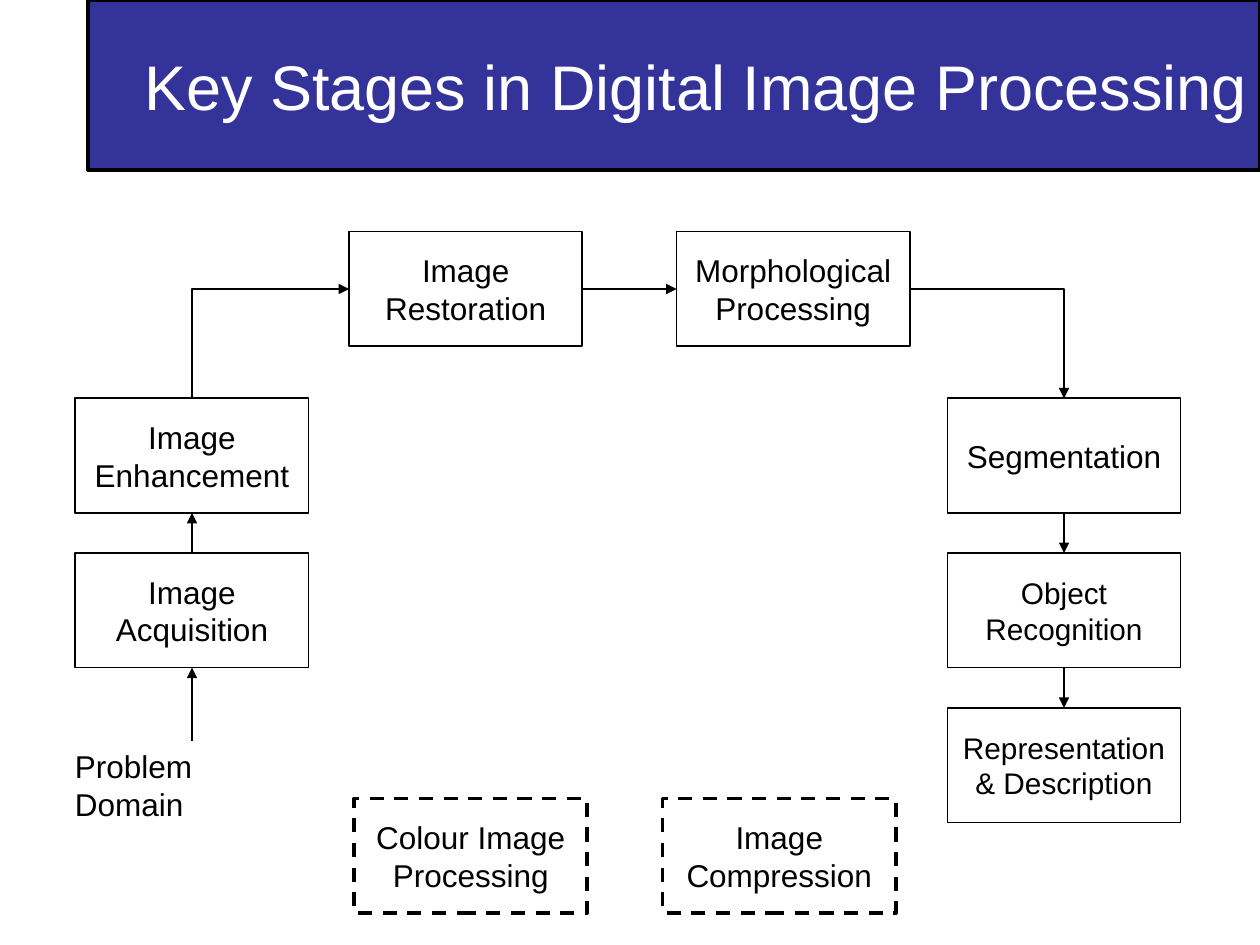
"""Build a flow chart slide of the key stages in digital image processing."""
from dataclasses import dataclass

from lxml import etree
from pptx import Presentation
from pptx.dml.color import RGBColor
from pptx.enum.dml import MSO_LINE
from pptx.enum.shapes import MSO_CONNECTOR, MSO_SHAPE
from pptx.enum.text import MSO_ANCHOR, PP_ALIGN
from pptx.oxml.ns import qn
from pptx.util import Cm, Pt

RECTANGLE = MSO_SHAPE.RECTANGLE
STRAIGHT, ELBOW = MSO_CONNECTOR.STRAIGHT, MSO_CONNECTOR.ELBOW
DASH = MSO_LINE.DASH
MIDDLE = MSO_ANCHOR.MIDDLE
LEFT_ALIGNED, CENTERED, RIGHT_ALIGNED = PP_ALIGN.LEFT, PP_ALIGN.CENTER, PP_ALIGN.RIGHT
TOP, LEFT, BOTTOM, RIGHT = range(4)

FONT = "Arial"
BLACK, WHITE, NAVY = "000000", "FFFFFF", "333399"
STAGE_WIDTH, STAGE_HEIGHT = 4.7, 2.31
LEFT_COLUMN, RIGHT_COLUMN = 1.52, 19.1
TOP_ROW, OPTIONAL_ROW = 4.67, 16.1
SIDE_ROWS = [8.03 + 3.12 * row for row in range(3)]


@dataclass(frozen=True)
class Box:
    text: str
    left: float
    top: float
    width: float = STAGE_WIDTH
    height: float = STAGE_HEIGHT
    size: int = 18
    fill: str = WHITE
    color: str = BLACK
    line_width: int = 1
    dashed: bool = False
    alignment: PP_ALIGN = CENTERED


@dataclass(frozen=True)
class Arrow:
    start: str
    start_site: int
    finish: str
    finish_site: int
    elbow: bool = False
    arrowhead: str = "tailEnd"


TITLE = Box("Key Stages in Digital Image Processing", 1.78, 0, 23.62, 3.43,
            size=36, fill=NAVY, color=WHITE, line_width=2, alignment=RIGHT_ALIGNED)
STAGES = [
    Box("Image Acquisition", LEFT_COLUMN, SIDE_ROWS[1]),
    Box("Image Enhancement", LEFT_COLUMN, SIDE_ROWS[0]),
    Box("Image Restoration", 7.04, TOP_ROW),
    Box("Morphological Processing", 13.64, TOP_ROW),
    Box("Segmentation", RIGHT_COLUMN, SIDE_ROWS[0]),
    Box("Object Recognition", RIGHT_COLUMN, SIDE_ROWS[1], size=17),
    Box("Representation & Description", RIGHT_COLUMN, SIDE_ROWS[2], size=17),
    Box("Colour Image Processing", 7.14, OPTIONAL_ROW, line_width=2, dashed=True),
    Box("Image Compression", 13.36, OPTIONAL_ROW, line_width=2, dashed=True),
]
PROBLEM = Box("Problem Domain", 1.26, 14.94, 5.22, 1.02, alignment=LEFT_ALIGNED)
ARROWS = [
    Arrow("Problem Domain", TOP, "Image Acquisition", BOTTOM),
    Arrow("Image Acquisition", TOP, "Image Enhancement", BOTTOM),
    Arrow("Image Restoration", LEFT, "Image Enhancement", TOP, True, "headEnd"),
    Arrow("Image Restoration", RIGHT, "Morphological Processing", LEFT),
    Arrow("Morphological Processing", RIGHT, "Segmentation", TOP, True),
    Arrow("Segmentation", BOTTOM, "Object Recognition", TOP),
    Arrow("Object Recognition", BOTTOM, "Representation & Description", TOP),
]


def rgb(value: str) -> RGBColor:
    return RGBColor.from_string(value)


def write_text(shape, box: Box) -> None:
    paragraph = shape.text_frame.paragraphs[0]
    paragraph.alignment = box.alignment
    run = paragraph.add_run()
    run.text = box.text
    run.font.name = FONT
    run.font.size = Pt(box.size)
    run.font.color.rgb = rgb(box.color)


def draw_box(slide, box: Box):
    shape = slide.shapes.add_shape(
        RECTANGLE, Cm(box.left), Cm(box.top), Cm(box.width), Cm(box.height))
    shape.shadow.inherit = False
    shape.fill.solid()
    shape.fill.fore_color.rgb = rgb(box.fill)
    shape.line.color.rgb = rgb(BLACK)
    shape.line.width = Pt(box.line_width)
    if box.dashed:
        shape.line.dash_style = DASH
    shape.text_frame.word_wrap = True
    shape.text_frame.vertical_anchor = MIDDLE
    write_text(shape, box)
    return shape


def draw_label(slide, box: Box):
    shape = slide.shapes.add_textbox(
        Cm(box.left), Cm(box.top), Cm(box.width), Cm(box.height))
    shape.text_frame.word_wrap = False
    write_text(shape, box)
    return shape


def draw_arrow(slide, arrow: Arrow, shapes: dict) -> None:
    connector = slide.shapes.add_connector(ELBOW if arrow.elbow else STRAIGHT, 0, 0, 0, 0)
    connector.begin_connect(shapes[arrow.start], arrow.start_site)
    connector.end_connect(shapes[arrow.finish], arrow.finish_site)
    connector.line.color.rgb = rgb(BLACK)
    connector.line.width = Pt(1)
    properties = connector.element.spPr
    if arrow.elbow:
        properties.find(qn("a:prstGeom")).set("prst", "bentConnector2")
    line = properties.find(qn("a:ln"))
    etree.SubElement(line, qn(f"a:{arrow.arrowhead}"), type="triangle")
    etree.SubElement(properties, qn("a:effectLst"))


def main() -> None:
    presentation = Presentation()
    presentation.slide_width, presentation.slide_height = Cm(25.4), Cm(19.05)
    slide = presentation.slides.add_slide(presentation.slide_layouts[6])
    draw_box(slide, TITLE)
    shapes = {stage.text: draw_box(slide, stage) for stage in STAGES}
    shapes[PROBLEM.text] = draw_label(slide, PROBLEM)
    for arrow in ARROWS:
        draw_arrow(slide, arrow, shapes)
    presentation.save("out.pptx")


if __name__ == "__main__":
    main()
